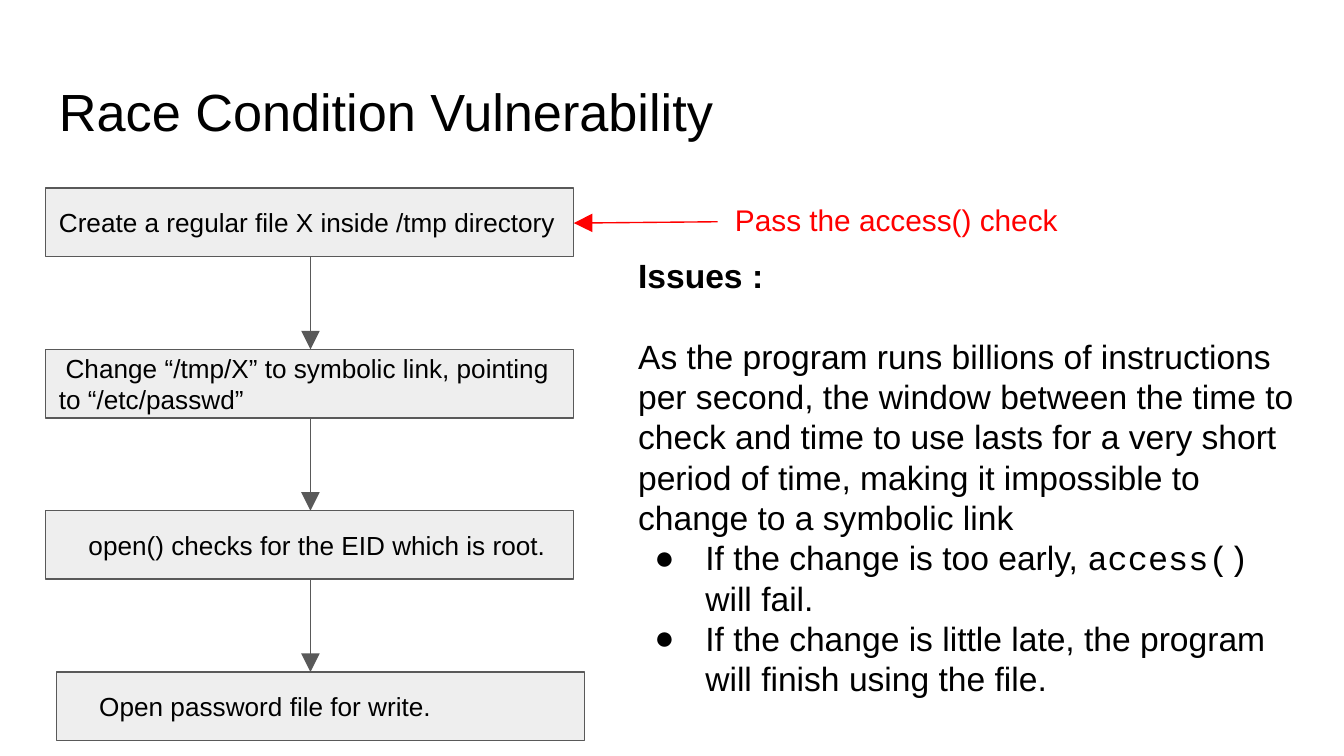
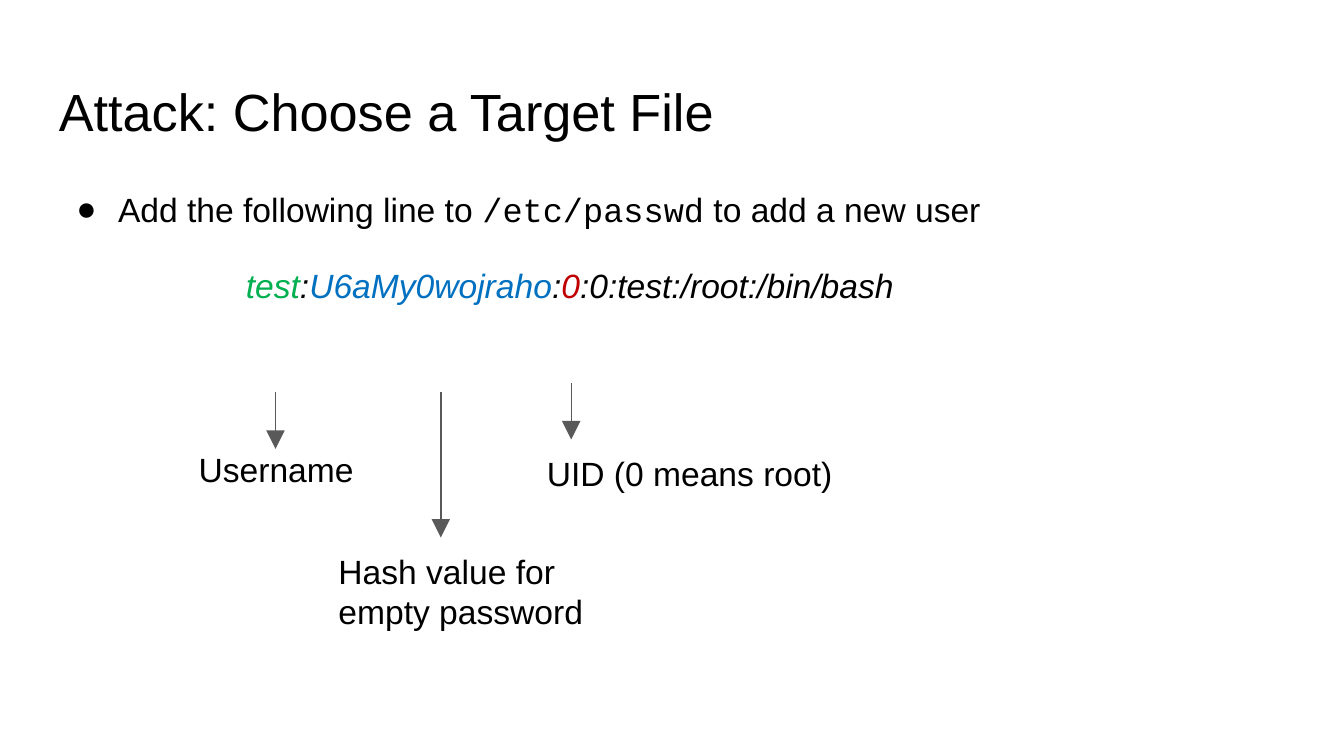
from lxml import etree
from pptx import Presentation
from pptx.dml.color import RGBColor
from pptx.enum.shapes import MSO_CONNECTOR as Connector, MSO_SHAPE as Shape
from pptx.enum.text import MSO_ANCHOR as Anchor, PP_ALIGN as Align
from pptx.oxml.ns import qn
from pptx.util import Inches, Pt

COLORS = {
    "text": "000000", "box": "EEEEEE", "line": "595959", "alert": "FF0000",
    "user": "00B050", "hash": "0070C0", "uid": "C00000",
}
BODY, MONO = "Arial", "Courier New"


def write(shape, *paragraphs, size=18, color="text", bold=False, italic=False,
          indent=0, first=0, bullet=False, spacing=None, after=0, anchor=Anchor.TOP):
    """Add paragraphs to a shape; each is a list of (text, format) spans."""
    frame = shape.text_frame
    frame.word_wrap = True
    frame.vertical_anchor = anchor
    frame.margin_left = frame.margin_right = Inches(0.1)
    frame.margin_top = frame.margin_bottom = Inches(0.1)
    for spans in paragraphs:
        para = frame.paragraphs[0]
        if para.runs:
            para = frame.add_paragraph()
        para.alignment = Align.LEFT
        para.space_before, para.space_after = Pt(0), Pt(after)
        if spacing:
            para.line_spacing = spacing
        props = para._p.get_or_add_pPr()
        props.set("marL", str(Inches(indent)))
        props.set("indent", str(Inches(first)))
        if bullet:
            etree.SubElement(props, qn("a:buFont")).set("typeface", BODY)
            etree.SubElement(props, qn("a:buChar")).set("char", "●")
        for text, style in spans:
            span = para.add_run()
            span.text = text
            span.font.name = style.get("font", BODY)
            span.font.size = Pt(size)
            span.font.bold = bold
            span.font.italic = italic
            span.font.color.rgb = RGBColor.from_string(COLORS[style.get("color", color)])


def add_arrow(page, x1, y1, x2, y2, color="line"):
    """Draw a thin line with a large triangle head at its end."""
    arrow = page.shapes.add_connector(
        Connector.STRAIGHT, Inches(x1), Inches(y1), Inches(x2), Inches(y2))
    arrow.line.color.rgb = RGBColor.from_string(COLORS[color])
    arrow.line.width = Pt(0.75)
    head = etree.SubElement(arrow.line._get_or_add_ln(), qn("a:tailEnd"))
    for name, value in (("type", "triangle"), ("w", "lg"), ("len", "lg")):
        head.set(name, value)
    etree.SubElement(arrow._element.spPr, qn("a:effectLst"))


deck = Presentation()
deck.slide_width = Inches(10)
deck.slide_height = deck.slide_width * 9 // 16

# Both pages share the title style
pages = []
for title in ("Race Condition Vulnerability", "Attack: Choose a Target File"):
    page = deck.slides.add_slide(deck.slide_layouts[6])
    box = page.shapes.add_textbox(Inches(0.34), Inches(0.49), Inches(9.32), Inches(0.63))
    write(box, [(title, {})], size=28)
    pages.append(page)
race, attack = pages

# Race condition: a column of steps joined by arrows
STEP_TOP, STEP_PITCH, STEP_WIDTH, STEP_HEIGHT = 1.4, 1.2, 3.93, 0.51
steps = [  # text, left edge, left indent, first-line indent
    ("Create a regular file X inside /tmp directory", 0.34, 0, 0),
    ("Change “/tmp/X” to symbolic link, pointing to “/etc/passwd”", 0.34, 0, 0.05),
    ("open() checks for the EID which is root.", 0.34, 0.22, 0),
    ("Open password file for write.", 0.42, 0.22, 0),
]
for number, (text, left, indent, first) in enumerate(steps):
    top = STEP_TOP + number * STEP_PITCH
    step = race.shapes.add_shape(
        Shape.RECTANGLE, Inches(left), Inches(top), Inches(STEP_WIDTH), Inches(STEP_HEIGHT))
    step.shadow.inherit = False
    step.fill.solid()
    step.fill.fore_color.rgb = RGBColor.from_string(COLORS["box"])
    step.line.color.rgb = RGBColor.from_string(COLORS["line"])
    step.line.width = Pt(0.75)
    write(step, [(text, {})], size=14, indent=indent, first=first, anchor=Anchor.MIDDLE)
    if number:
        add_arrow(race, 2.31, top - STEP_PITCH + STEP_HEIGHT, 2.31, top)

add_arrow(race, 5.34, 1.65, 4.27, 1.66, color="alert")
box = race.shapes.add_textbox(Inches(5.37), Inches(1.4), Inches(2.61), Inches(0.51))
write(box, [("Pass the access() check", {})], size=16, color="alert")

issues = race.shapes.add_textbox(Inches(4.65), Inches(1.8), Inches(5.1), Inches(3.66))
write(issues, [("Issues :", {})], bold=True, after=21.5)
write(issues, [(
    "As the program runs billions of instructions per second, the window between "
    "the time to check and time to use lasts for a very short period of time, "
    "making it impossible to change to a symbolic link", {})])
write(issues,
      [("If the change is too early, ", {}), ("access() ", {"font": MONO}), ("will fail.", {})],
      [("If the change is little late, the program will finish using the file.", {})],
      indent=0.5, first=-0.38, bullet=True)

# Attack: the password line and what its fields mean
body = attack.shapes.add_textbox(Inches(0.34), Inches(1.26), Inches(9.32), Inches(3.74))
write(body,
      [("Add the following line to ", {}), ("/etc/passwd", {"font": MONO}),
       (" to add a new user", {})],
      indent=0.44, first=-0.31, bullet=True, spacing=1.15, after=16)
write(body,
      [("test", {"color": "user"}), (":", {}), ("U6aMy0wojraho", {"color": "hash"}),
       (":", {}), ("0", {"color": "uid"}), (":0:test:/root:/bin/bash", {})],
      italic=True, indent=1.39, spacing=1.15, after=16)

fields = [  # label, box (left, top, width, height), indent, arrow (x, top, bottom)
    ("Username", (1.33, 3.24, 1.45, 0.48), 0.05, (2.05, 2.92, 3.34)),
    ("Hash value for empty password", (2.42, 4, 2.3, 0.35), 0, (3.28, 2.92, 4)),
    ("UID (0 means root)", (3.49, 3.27, 2.95, 0.35), 0.48, (4.25, 2.85, 3.27)),
]
for label, place, indent, (x, start, end) in fields:
    add_arrow(attack, x, start, x, end)
    box = attack.shapes.add_textbox(*map(Inches, place))
    write(box, [(label, {})], indent=indent)

deck.save("out.pptx")
